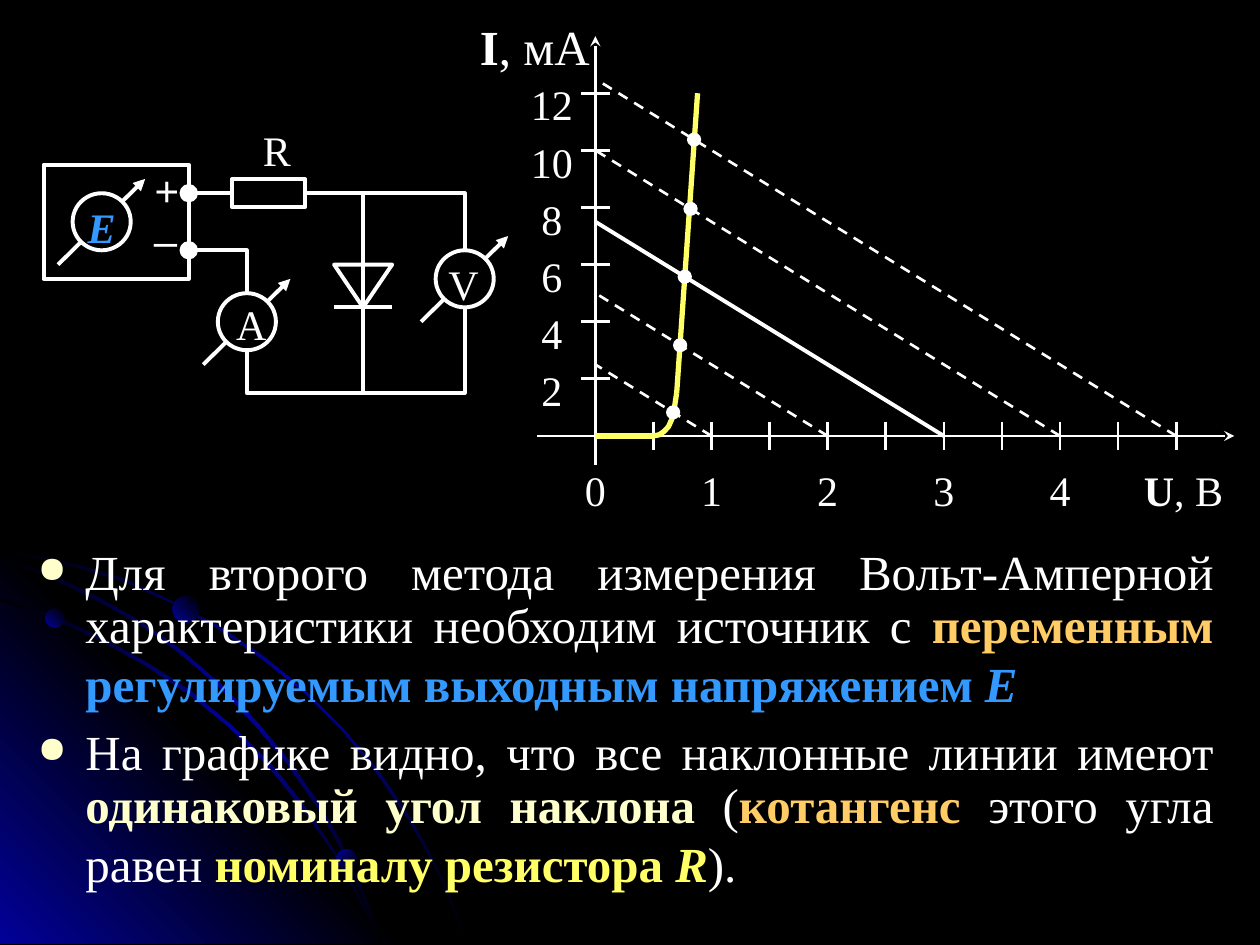
import dataclasses

import lxml.etree
import pptx
import pptx.dml.color
import pptx.enum.dml
import pptx.enum.shapes
import pptx.enum.text
import pptx.oxml
import pptx.oxml.ns
import pptx.util

SHAPE = pptx.enum.shapes.MSO_SHAPE
ALIGN = pptx.enum.text.PP_ALIGN
DASH = pptx.enum.dml.MSO_LINE.DASH
Inches, Pt, qn = pptx.util.Inches, pptx.util.Pt, pptx.oxml.ns.qn


@dataclasses.dataclass(frozen=True)
class Theme:
    black: str = "000000"
    white: str = "FFFFFF"
    navy: str = "010199"
    blue: str = "3399FF"
    cream: str = "FFFFCC"
    orange: str = "FFCC66"
    yellow: str = "FFFF66"
    serif: str = "Times New Roman"
    sans: str = "Arial"
    label: int = 24
    body: int = 28
    tail: int = 32
    thin: float = 1.5
    wire: float = 2.25
    curve: float = 3


T = Theme()
COL, ROW = 4.61 / 40, 2.72 / 24
TOP = 0.06
ORIGIN_COL, ORIGIN_ROW = 41, 30
COLS_PER_VOLT, ROWS_PER_MA = 8, 2
MA_PER_VOLT = 2.5

ARCS = [
    [(.57, 4.47), (.28, 4.41), (0, 4.35), (0, 4.38), (.28, 4.43), (.56, 4.49), (.97, 4.61),
     (1.35, 4.78), (1.73, 4.99), (2.08, 5.23), (2.41, 5.49), (2.71, 5.79), (2.98, 6.12),
     (3.23, 6.49), (3.37, 6.73), (3.5, 6.98), (3.6, 7.23), (3.7, 7.49), (3.72, 7.49),
     (3.62, 7.23), (3.52, 6.98), (3.39, 6.73), (3.25, 6.48), (3, 6.11), (2.72, 5.78),
     (2.42, 5.48), (2.09, 5.21), (1.74, 4.97), (1.36, 4.77), (.98, 4.59)],
    [(2.85, 7.14), (2.94, 7.32), (3.01, 7.49), (3.03, 7.49), (2.96, 7.3), (2.86, 7.12),
     (2.66, 6.76), (2.42, 6.4), (2.15, 6.06), (1.84, 5.76), (1.52, 5.49), (1.17, 5.26),
     (.79, 5.05), (.41, 4.88), (0, 4.75), (0, 4.77), (.39, 4.9), (.77, 5.07), (1.15, 5.28),
     (1.5, 5.51), (1.83, 5.78), (2.13, 6.08), (2.4, 6.42), (2.65, 6.77)],
    [(0, 4.42), (0, 4.44), (.36, 4.57), (.74, 4.75), (1.09, 4.94), (1.42, 5.18), (1.73, 5.44),
     (2.02, 5.75), (2.27, 6.05), (2.52, 6.41), (2.67, 6.67), (2.8, 6.94), (2.92, 7.22),
     (3.01, 7.49), (3.03, 7.49), (2.94, 7.2), (2.82, 6.93), (2.69, 6.65), (2.54, 6.39),
     (2.29, 6.03), (2.04, 5.73), (1.75, 5.43), (1.44, 5.16), (1.11, 4.93), (.76, 4.73),
     (.39, 4.55)],
]
CORNER = [(3.22, 7.49), (0, 7.49), (0, 4.27)]
ORBS = [(.36, 4.83, .15, 135), (2.67, 6.74, .16, 225), (1.37, 4.73, .21, 135)]

BODY = [
    [("Для второго метода измерения Вольт-Амперной характеристики необходим источник с ", {}),
     ("переменным ", {"color": T.orange, "bold": True}),
     ("регулируемым выходным напряжением ", {"color": T.blue, "bold": True}),
     ("Е", {"color": T.blue, "bold": True, "italic": True}),
     (" ", {"size": T.tail, "name": T.sans})],
    [("На графике видно, что все наклонные линии имеют ", {}),
     ("одинаковый угол наклона", {"color": T.cream, "bold": True}),
     (" (", {}),
     ("котангенс", {"color": T.orange, "bold": True}),
     (" этого угла равен ", {}),
     ("номиналу резистора ", {"color": T.yellow, "bold": True}),
     ("R", {"color": T.yellow, "bold": True, "italic": True}),
     (").", {}),
     (" ", {"size": T.tail, "name": T.sans})],
]


def rgb(code):
    return pptx.dml.color.RGBColor.from_string(code)


def at(col, row):
    """Inches of a grid crossing."""
    return col * COL, TOP + row * ROW


def on_graph(volts, milliamps):
    """Grid crossing of a point on the graph."""
    return ORIGIN_COL + volts * COLS_PER_VOLT, ORIGIN_ROW - milliamps * ROWS_PER_MA


def outline(shape, color=T.white, width=T.wire):
    shape.line.color.rgb = rgb(color)
    shape.line.width = Pt(width)


def paint(shape, fill):
    shape.shadow.inherit = False
    if fill:
        shape.fill.solid()
        shape.fill.fore_color.rgb = rgb(fill)
    else:
        shape.fill.background()


def shade(shape, colors, angle):
    """Gradient with evenly spaced stops; angle runs clockwise."""
    shape.shadow.inherit = False
    shape.line.fill.background()
    shape.fill.gradient()
    shape.fill.gradient_angle = 360 - angle
    stops = shape.element.spPr.find(qn("a:gradFill")).find(qn("a:gsLst"))
    for stop in list(stops):
        stops.remove(stop)
    for index, color in enumerate(colors):
        position = round(100000 * index / (len(colors) - 1))
        stop = lxml.etree.SubElement(stops, qn("a:gs"), pos=str(position))
        lxml.etree.SubElement(stop, qn("a:srgbClr"), val=color)


def contour(slide, points, close):
    mils = [(x * 1000, y * 1000) for x, y in points]
    builder = slide.shapes.build_freeform(*mils[0], scale=Inches(1) / 1000)
    builder.add_line_segments(mils[1:], close=close)
    return builder.convert_to_shape()


def wire(slide, *crossings, close=False, color=T.white, width=T.wire):
    path = contour(slide, [at(*crossing) for crossing in crossings], close)
    paint(path, None)
    outline(path, color, width)


def line(slide, start, end, color=T.white, width=T.wire, dash=None, head=None):
    ends = [Inches(value) for value in at(*start) + at(*end)]
    link = slide.shapes.add_connector(pptx.enum.shapes.MSO_CONNECTOR.STRAIGHT, *ends)
    outline(link, color, width)
    if dash:
        link.line.dash_style = dash
    if head:
        lxml.etree.SubElement(link.line._get_or_add_ln(), qn("a:tailEnd"), type=head)
    lxml.etree.SubElement(link._element.spPr, qn("a:effectLst"))
    return link


def block(slide, kind, col, row, cols, rows, fill=None):
    left, top = at(col, row)
    shape = slide.shapes.add_shape(kind, Inches(left), Inches(top),
                                   Inches(cols * COL), Inches(rows * ROW))
    paint(shape, fill)
    outline(shape)
    return shape


def dot(slide, center, size, width):
    col, row = center
    spot = block(slide, SHAPE.OVAL, col - size / 2, row - size / 2, size, size, T.white)
    outline(spot, width=width)


def write(paragraph, runs, size):
    for text, changes in runs:
        style = {"size": size, "name": T.serif, "color": T.white} | changes
        run = paragraph.add_run()
        run.text = text
        run.font.color.rgb = rgb(style.pop("color"))
        style["size"] = Pt(style["size"])
        for key, value in style.items():
            setattr(run.font, key, value)


def text_frame(slide, left, top, width, height, margins=(0, 0)):
    frame = slide.shapes.add_textbox(*map(Inches, (left, top, width, height))).text_frame
    frame.word_wrap = True
    across, down = map(Inches, margins)
    for key, value in {"margin_left": across, "margin_right": across,
                       "margin_top": down, "margin_bottom": down}.items():
        setattr(frame, key, value)
    return frame


def label(slide, runs, col, row, cols=4, rows=3, size=T.label, align=ALIGN.CENTER, margins=(0, 0)):
    frame = text_frame(slide, *at(col, row), cols * COL, rows * ROW, margins)
    frame.paragraphs[0].alignment = align
    write(frame.paragraphs[0], runs, size)


def meter(slide, col, row, letter, shift, align=ALIGN.CENTER, **style):
    line(slide, (col - 1, row + 5), (col + 5, row - 1), head="triangle")
    block(slide, SHAPE.OVAL, col, row, 4, 4, T.black)
    label(slide, [(letter, style)], col + shift[0], row + shift[1], rows=4,
          align=align, margins=(0.08, 0.04))


def backdrop(slide):
    slide.background.fill.solid()
    slide.background.fill.fore_color.rgb = rgb(T.black)
    shade(contour(slide, CORNER, True), [T.navy, T.black, T.navy], 135)
    for arc in ARCS:
        shade(contour(slide, arc, True), [T.black, T.navy, T.black], 225)
    for left, top, size, angle in ORBS:
        orb = slide.shapes.add_shape(SHAPE.OVAL, *map(Inches, (left, top, size, size)))
        shade(orb, [T.black, T.navy], angle)


def circuit(slide):
    block(slide, SHAPE.RECTANGLE, 3, 11, 10, 8)
    resistor = block(slide, SHAPE.RECTANGLE, 16, 12, 5, 2)
    line(slide, (13, 13), (16, 13)).end_connect(resistor, 1)
    wire(slide, (17, 20), (17, 17), (13, 17))
    wire(slide, (17, 24), (17, 27), (32, 27), (32, 21))
    wire(slide, (21, 13), (32, 13), (32, 17))
    wire(slide, (23, 18), (27, 18), (25, 21), close=True)
    line(slide, (23, 21), (27, 21))
    line(slide, (25, 13), (25, 27))
    meter(slide, 30, 17, "V", (-0.35, 0.25), ALIGN.RIGHT)
    meter(slide, 15, 20, "А", (0.3, 0))
    meter(slide, 5, 13, "Е", (0, 0.2), color=T.blue, bold=True, italic=True)
    for row in (13, 17):
        dot(slide, (13, row), 1, T.wire)
    label(slide, [("R", {})], 18.1, 8.2, align=ALIGN.LEFT)
    label(slide, [("+", {"name": T.sans})], 10, 11, 3, 4)
    label(slide, [("–", {"name": T.sans})], 9.9, 14.5, 3, 3)


def graph(slide):
    line(slide, (ORIGIN_COL, 32), (ORIGIN_COL, 2), width=T.thin, head="stealth")
    line(slide, (37, ORIGIN_ROW), (85, ORIGIN_ROW), width=T.thin, head="stealth")
    for current in range(2, 13, 2):
        col, row = on_graph(0, current)
        line(slide, (col - 1, row), (col + 1, row), width=T.thin)
        label(slide, [(str(current), {})], col - 5, row - 1)
    for half_volts in range(1, 11):
        col, row = on_graph(half_volts / 2, 0)
        line(slide, (col, row - 1), (col, row + 1), width=T.thin)
    for volts in range(5):
        col, row = on_graph(volts, 0)
        label(slide, [(str(volts), {})], col - 2, row + 2)
    label(slide, [("I", {"bold": True}), (", мА", {})], 32.4, 0.6, 8.85, 4.4, T.body)
    label(slide, [("U", {"bold": True}), (", В", {})], 78, 32, 7)

    for source in range(1, 6):
        style = {} if source == 3 else {"width": T.thin, "dash": DASH}
        line(slide, on_graph(source, 0), on_graph(0, source * MA_PER_VOLT), **style)

    diode = {"color": T.yellow, "width": T.curve}
    knee = [(0.5, 0), (0.55, 0.04), (0.59, 0.15), (0.63, 0.32), (0.66, 0.6), (0.68, 0.95), (0.7, 1.5)]
    line(slide, on_graph(0, 0), on_graph(*knee[0]), **diode)
    wire(slide, *[on_graph(*point) for point in knee], **diode)
    line(slide, on_graph(*knee[-1]), on_graph(0.88, 12), **diode)
    for source, volts in enumerate((0.67, 0.73, 0.77, 0.82, 0.85), start=1):
        dot(slide, on_graph(volts, MA_PER_VOLT * (source - volts)), 0.8, T.thin)


def bullet(paragraph):
    props = paragraph._p.get_or_add_pPr()
    props.set("marL", str(Inches(0.38)))
    props.set("indent", str(-Inches(0.38)))
    color = lxml.etree.SubElement(props, qn("a:buClr"))
    lxml.etree.SubElement(color, qn("a:srgbClr"), val=T.cream)
    lxml.etree.SubElement(props, qn("a:buSzPct"), val="75000")
    lxml.etree.SubElement(props, qn("a:buChar"), char="●")


def explanation(slide):
    frame = text_frame(slide, 0.2, 4.3, 9.53, 2.99, (0.1, 0.05))
    for index, runs in enumerate(BODY):
        paragraph = frame.add_paragraph() if index else frame.paragraphs[0]
        bullet(paragraph)
        paragraph.alignment = ALIGN.JUSTIFY
        paragraph.line_spacing = 0.9
        if index:
            paragraph.space_before = Pt(8)
        write(paragraph, runs, T.body)


def main():
    deck = pptx.Presentation()
    deck.slide_width, deck.slide_height = Inches(10), Inches(7.5)
    slide = deck.slides.add_slide(deck.slide_layouts[6])
    for part in (backdrop, explanation, graph, circuit):
        part(slide)
    deck.save("out.pptx")


if __name__ == "__main__":
    main()
